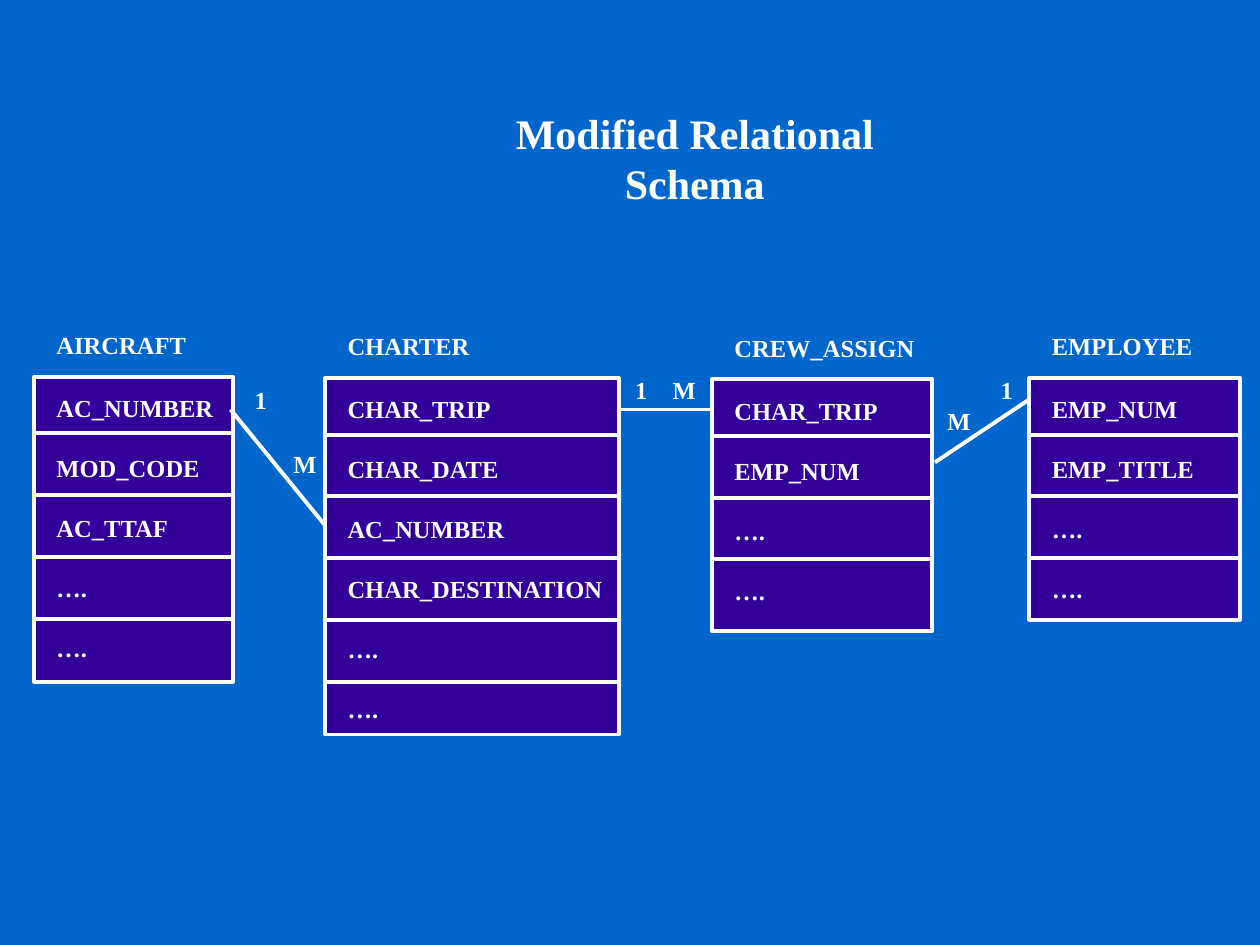
from lxml.etree import SubElement
from pptx import Presentation
from pptx.dml.color import RGBColor
from pptx.enum.shapes import MSO_CONNECTOR, MSO_SHAPE
from pptx.enum.text import MSO_ANCHOR, PP_ALIGN
from pptx.oxml.ns import qn
from pptx.util import Inches, Pt

COLORS = {"background": "0066CC", "entity": "330099", "white": "FFFFFF"}
LINE_WIDTH = Pt(2.25)
FIRST_DIVIDER, ROW_HEIGHT = 0.45, 0.49
FIELD_GAP = Pt(17.5)

# name, (left, top, width, height), fields
ENTITIES = [
    ("AIRCRAFT", (0.27, 2.99, 1.58, 2.42),
     ["AC_NUMBER", "MOD_CODE", "AC_TTAF", "….", "…."]),
    ("CHARTER", (2.58, 3, 2.33, 2.83),
     ["CHAR_TRIP", "CHAR_DATE", "AC_NUMBER", "CHAR_DESTINATION", "….", "…."]),
    ("CREW_ASSIGN", (5.65, 3.01, 1.75, 2),
     ["CHAR_TRIP", "EMP_NUM", "….", "…."]),
    ("EMPLOYEE", (8.17, 3, 1.67, 1.92),
     ["EMP_NUM", "EMP_TITLE", "….", "…."]),
]

# start, end, cardinality labels as (text, left, top)
RELATIONSHIPS = [
    ((1.83, 3.25), (2.58, 4.17), [("1", 1.92, 3), ("M", 2.23, 3.51)]),
    ((4.92, 3.25), (5.67, 3.25), [("1", 4.94, 2.92), ("M", 5.24, 2.92)]),
    ((7.42, 3.67), (8.17, 3.17), [("M", 7.42, 3.17), ("1", 7.84, 2.92)]),
]
LABEL_WIDTHS = {"1": 0.3, "M": 0.38}


def color(name):
    return RGBColor.from_string(COLORS[name])


def add_text(slide, box, lines, size=14, centered=False):
    text_box = slide.shapes.add_textbox(*map(Inches, box))
    frame = text_box.text_frame
    frame.word_wrap = not centered
    frame.vertical_anchor = MSO_ANCHOR.MIDDLE if centered else MSO_ANCHOR.TOP
    font_format = {"name": "Times New Roman", "size": Pt(size), "bold": True}
    for index, line in enumerate(lines):
        paragraph = frame.add_paragraph() if index else frame.paragraphs[0]
        paragraph.alignment = PP_ALIGN.CENTER if centered else PP_ALIGN.LEFT
        if index:
            paragraph.space_before = FIELD_GAP
        run = paragraph.add_run()
        run.text = line
        for attribute, value in font_format.items():
            setattr(run.font, attribute, value)
        run.font.color.rgb = color("white")


def add_line(slide, start, end):
    line = slide.shapes.add_connector(
        MSO_CONNECTOR.STRAIGHT, *map(Inches, (*start, *end)))
    line.line.color.rgb = color("white")
    line.line.width = LINE_WIDTH
    SubElement(line._element.spPr, qn("a:effectLst"))


def add_entity(slide, name, box, fields):
    """Draw an entity box with its name above and one ruled row per field."""
    left, top, width, height = box
    shape = slide.shapes.add_shape(MSO_SHAPE.RECTANGLE, *map(Inches, box))
    shape.shadow.inherit = False
    shape.fill.solid()
    shape.fill.fore_color.rgb = color("entity")
    shape.line.color.rgb = color("white")
    shape.line.width = LINE_WIDTH

    text_left, text_width = left + 0.08, width - 0.08
    add_text(slide, (text_left, top - 0.42, text_width, 0.34), [name])
    add_text(slide, (text_left, top + 0.08, text_width, height - 0.16), fields)
    for row in range(len(fields) - 1):
        y = top + FIRST_DIVIDER + row * ROW_HEIGHT
        add_line(slide, (left, y), (left + width, y))


def add_relationship(slide, start, end, labels):
    add_line(slide, start, end)
    for text, left, top in labels:
        add_text(slide, (left, top, LABEL_WIDTHS[text], 0.34), [text],
                 centered=True)


def main():
    presentation = Presentation()
    presentation.slide_width = Inches(10)
    presentation.slide_height = Inches(7.5)
    slide = presentation.slides.add_slide(presentation.slide_layouts[6])
    slide.background.fill.solid()
    slide.background.fill.fore_color.rgb = color("background")

    add_text(slide, (3.4, 1, 4.23, 0.5), ["Modified Relational Schema"],
             size=24, centered=True)
    for entity in ENTITIES:
        add_entity(slide, *entity)
    for relationship in RELATIONSHIPS:
        add_relationship(slide, *relationship)
    presentation.save("out.pptx")


if __name__ == "__main__":
    main()
